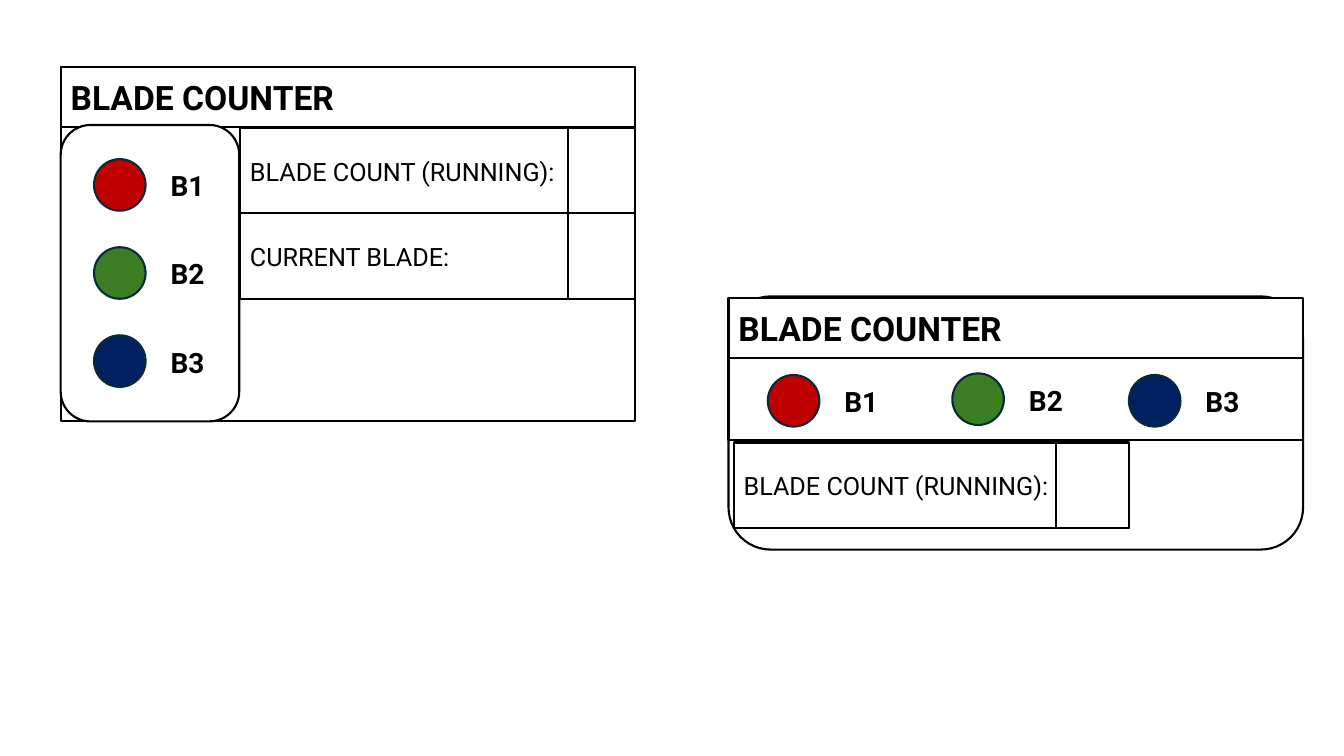
from dataclasses import dataclass

from pptx import Presentation
from pptx.dml.color import RGBColor
from pptx.enum.shapes import MSO_SHAPE as Preset
from pptx.enum.text import MSO_ANCHOR as Anchor, MSO_AUTO_SIZE as AutoSize, PP_ALIGN as Align
from pptx.util import Cm, Pt


@dataclass(frozen=True)
class Theme:
    font: str = "Roboto"
    ink: str = "000000"
    paper: str = "FFFFFF"
    lamp_rim: str = "092A39"
    rule: float = 1.5
    heading: int = 24
    lamp_label: int = 20
    reading: int = 18


@dataclass(frozen=True)
class Box:
    """A rectangle in centimetres."""
    left: float
    top: float
    width: float
    height: float

    def inner(self, dx, dy, width, height):
        """Return a box offset from this box's top left corner."""
        return Box(self.left + dx, self.top + dy, width, height)

    def lengths(self):
        return Cm(self.left), Cm(self.top), Cm(self.width), Cm(self.height)


THEME = Theme()
BLADES = {"B1": "C00000", "B2": "3B7D23", "B3": "002060"}
HEADING = "BLADE COUNTER"
RUNNING = "BLADE COUNT (RUNNING):"
CURRENT = "CURRENT BLADE:"
HEADING_HEIGHT = 1.5
LAMP_SIZE = 1.3
READING_WIDTH, READING_HEIGHT = 9.96, 2.16


def write(shape, text, size, bold=False):
    paragraph = shape.text_frame.paragraphs[0]
    paragraph.text = text
    paragraph.alignment = Align.LEFT
    font = paragraph.font
    font.name, font.size, font.bold = THEME.font, Pt(size), bold
    font.color.rgb = RGBColor.from_string(THEME.ink)


def add_outlined(slide, box, preset=Preset.RECTANGLE, fill=THEME.paper, line=THEME.ink):
    shape = slide.shapes.add_shape(preset, *box.lengths())
    shape.shadow.inherit = False
    shape.fill.solid()
    shape.fill.fore_color.rgb = RGBColor.from_string(fill)
    shape.line.color.rgb = RGBColor.from_string(line)
    shape.line.width = Pt(THEME.rule)
    return shape


def add_caption(slide, box, text, size, bold=False):
    """Add an outlined bar with left-aligned text."""
    bar = add_outlined(slide, box)
    bar.text_frame.vertical_anchor = Anchor.MIDDLE
    bar.text_frame.word_wrap = True
    write(bar, text, size, bold)


def add_lamps(slide, box, offsets):
    """Add one coloured lamp and its label per blade, at offsets within the box."""
    for (blade, color), (dx, dy) in zip(BLADES.items(), offsets):
        lamp = box.inner(dx, dy, LAMP_SIZE, LAMP_SIZE)
        add_outlined(slide, lamp, Preset.OVAL, color, THEME.lamp_rim)
        label = slide.shapes.add_textbox(*lamp.inner(1.68, 0.12, 1.6, 1.12).lengths())
        label.text_frame.word_wrap = True
        label.text_frame.auto_size = AutoSize.SHAPE_TO_FIT_TEXT
        write(label, blade, THEME.lamp_label, bold=True)


def add_reading(slide, box, caption, value_width):
    """Add a captioned bar with an empty value cell at its right end."""
    add_caption(slide, box, caption, THEME.reading)
    add_outlined(slide, box.inner(box.width - value_width, 0, value_width, box.height))


def add_tall_counter(slide, box):
    """Lay out a counter with its lamps in a column beside the readings."""
    add_outlined(slide, box)
    heading = box.inner(0, 0, box.width, HEADING_HEIGHT)
    add_caption(slide, heading, HEADING, THEME.heading, bold=True)
    column = box.inner(0, 1.45, 4.5, box.height - 1.45)
    add_outlined(slide, column, Preset.ROUNDED_RECTANGLE)
    add_lamps(slide, column, [(0.84, 0.86 + 2.22 * row) for row in range(len(BLADES))])
    for row, caption in enumerate((RUNNING, CURRENT)):
        reading = box.inner(box.width - READING_WIDTH, 1.53 + 2.14 * row,
                            READING_WIDTH, READING_HEIGHT)
        add_reading(slide, reading, caption, 1.7)


def add_wide_counter(slide, box):
    """Lay out a counter with its lamps in a row above the reading."""
    add_outlined(slide, box, Preset.ROUNDED_RECTANGLE)
    lamp_row = box.inner(0, 1.5, box.width, 2.11)
    add_outlined(slide, lamp_row)
    heading = box.inner(0, 0.05, box.width, HEADING_HEIGHT)
    add_caption(slide, heading, HEADING, THEME.heading, bold=True)
    add_lamps(slide, lamp_row, [(0.99, 0.48), (5.64, 0.44), (10.09, 0.48)])
    reading = box.inner(0.13, 3.68, READING_WIDTH, READING_HEIGHT)
    add_reading(slide, reading, RUNNING, 1.83)


def main():
    deck = Presentation()
    deck.slide_width, deck.slide_height = Cm(33.87), Cm(19.05)
    slide = deck.slides.add_slide(deck.slide_layouts[6])
    add_tall_counter(slide, Box(1.53, 1.7, 14.48, 8.92))
    add_wide_counter(slide, Box(18.36, 7.47, 14.48, 6.38))
    deck.save("out.pptx")


if __name__ == "__main__":
    main()
